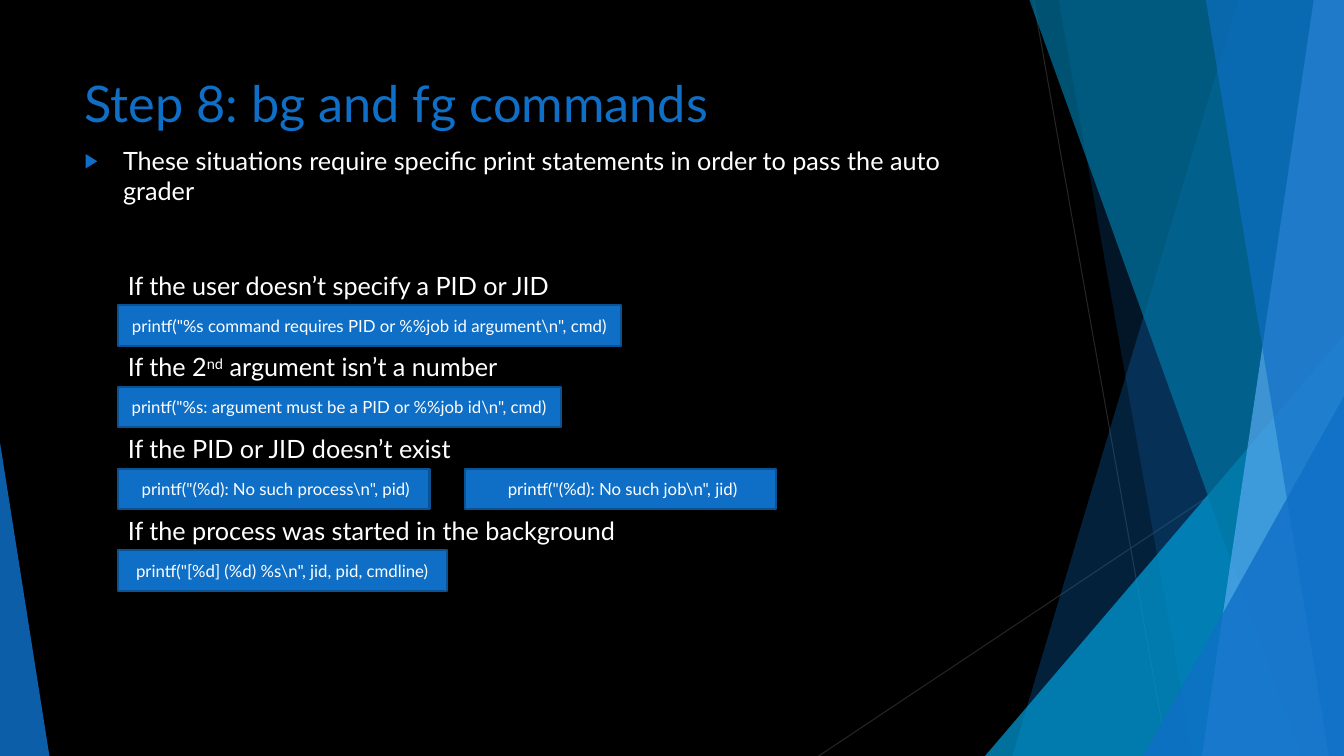
from lxml import etree
from pptx import Presentation
from pptx.dml.color import RGBColor
from pptx.enum.shapes import MSO_CONNECTOR, MSO_SHAPE
from pptx.enum.text import MSO_ANCHOR, MSO_AUTO_SIZE, PP_ALIGN
from pptx.oxml.ns import qn
from pptx.util import Inches, Pt

BLACK = RGBColor(0x00, 0x00, 0x00)
WHITE = RGBColor(0xFF, 0xFF, 0xFF)
GREY = RGBColor(0x26, 0x26, 0x26)
BLUE = RGBColor(0x0F, 0x6F, 0xC6)
DARK_BLUE = RGBColor(0x0B, 0x52, 0x92)
LIGHT_BLUE = RGBColor(0x59, 0xAA, 0xF2)
CYAN = RGBColor(0x00, 0x9D, 0xD9)
TEAL = RGBColor(0x00, 0x76, 0xA3)

# Content
TITLE = "Step 8: bg and fg commands"
INTRO = "These situations require specific print statements in order to pass the auto grader"
# Each case: label runs (text, superscript), label width, [(code, box width)]
CASES = [
    ([("If the user doesn’t specify a PID or JID", False)], 4.99,
     [(r'printf("%s command requires PID or %%job id argument\n", cmd)', 4.99)]),
    ([("If the 2", False), ("nd", True), (" argument isn’t a number", False)], 4.2,
     [(r'printf("%s: argument must be a PID or %%job id\n", cmd)', 4.39)]),
    ([("If the PID or JID doesn’t exist", False)], 4.2,
     [(r' printf("(%d): No such process\n", pid)', 3.09),
      (r' printf("(%d): No such job\n", jid)', 3.09)]),
    ([("If the process was started in the background", False)], 5.3,
     [(r'printf("[%d] (%d) %s\n", jid, pid, cmdline)', 3.26)]),
]

# Layout
W, H = 13.33, 7.5
LEFT, TEXT_W = 0.74, 9.4
CASE_X, CASE_Y = 1.17, 2.63
CASE_PITCH, BOX_H, BOX_GAP = 0.81, 0.4, 0.35

# Background decoration
HAIRLINES = [(10.25, 0, 11.58, H), (W, 4.03, 8.12, H)]
# Bands run to the right edge: top x, bottom x
# Triangles stand on the bottom edge: left, top, width, apex position
FACETS = [
    ("band", (12.28, 10.04), BLUE, 30),
    ("band", (10.5, 11.83), BLUE, 20),
    ("triangle", (9.77, 3.33, 3.56, 1), CYAN, 72),
    ("band", (10.21, 12.91), TEAL, 70),
    ("band", (13.03, 11.92), LIGHT_BLUE, 70),
    ("band", (11.96, 13.18), BLUE, 65),
    ("triangle", (11.34, 3.93, 1.99, 1), BLUE, 80),
    ("triangle", (0, 4.39, 0.49, 0), BLUE, 85),
]


def add_text(p, text, size=18, color=WHITE, superscript=False):
    r = p.add_run()
    r.text = text
    r.font.size = Pt(size)
    r.font.name = "Lato"
    r.font.color.rgb = color
    if superscript:
        r.font._element.set("baseline", "30000")


def add_hairline(s, x1, y1, x2, y2):
    line = s.shapes.add_connector(MSO_CONNECTOR.STRAIGHT, Inches(x1), Inches(y1),
                                  Inches(x2), Inches(y2))
    line.line.color.rgb = GREY
    line.line.width = Pt(0.75)
    etree.SubElement(line.element.spPr, qn("a:effectLst"))


def add_facet(s, kind, dims, color, opacity):
    if kind == "band":
        top, bottom = dims
        points = [(Inches(x), Inches(y)) for x, y in
                  [(top, 0), (W, 0), (W, H), (bottom, H)]]
        builder = s.shapes.build_freeform(*points[0])
        builder.add_line_segments(points[1:], close=True)
        sp = builder.convert_to_shape()
    else:
        x, y, w, apex = dims
        sp = s.shapes.add_shape(MSO_SHAPE.ISOSCELES_TRIANGLE, Inches(x), Inches(y),
                                Inches(w), Inches(H - y))
        sp.adjustments[0] = apex
    sp.shadow.inherit = False
    sp.fill.solid()
    sp.fill.fore_color.rgb = color
    sp.line.fill.background()
    clr = sp.element.spPr.find(qn("a:solidFill"))[0]
    etree.SubElement(clr, qn("a:alpha"), val=str(opacity * 1000))


def place(ph, y, h):
    ph.left, ph.top, ph.width, ph.height = (Inches(v) for v in (LEFT, y, TEXT_W, h))
    tf = ph.text_frame
    tf.word_wrap = True
    tf.auto_size = MSO_AUTO_SIZE.NONE
    tf.vertical_anchor = MSO_ANCHOR.TOP
    p = tf.paragraphs[0]
    p.alignment = PP_ALIGN.LEFT
    ph.element.getparent().append(ph.element)  # in front of the decoration
    return p


def add_bullet(p):
    pPr = p._p.get_or_add_pPr()
    pPr.set("marL", str(Inches(0.38)))
    pPr.set("indent", str(-Inches(0.38)))
    clr = etree.SubElement(pPr, qn("a:buClr"))
    etree.SubElement(clr, qn("a:srgbClr"), val=str(BLUE))
    etree.SubElement(pPr, qn("a:buSzPct"), val="80000")
    etree.SubElement(pPr, qn("a:buChar"), char="▶")


def add_label(s, runs, y, w):
    tb = s.shapes.add_textbox(Inches(CASE_X), Inches(y), Inches(w), Inches(BOX_H))
    tf = tb.text_frame
    tf.word_wrap = True
    tf.auto_size = MSO_AUTO_SIZE.SHAPE_TO_FIT_TEXT
    for text, superscript in runs:
        add_text(tf.paragraphs[0], text, superscript=superscript)


def add_code(s, code, x, y, w):
    sp = s.shapes.add_shape(MSO_SHAPE.RECTANGLE, Inches(x), Inches(y),
                            Inches(w), Inches(BOX_H))
    sp.shadow.inherit = False
    sp.fill.solid()
    sp.fill.fore_color.rgb = BLUE
    sp.line.color.rgb = DARK_BLUE
    sp.line.width = Pt(1.5)
    tf = sp.text_frame
    tf.word_wrap = True
    tf.vertical_anchor = MSO_ANCHOR.MIDDLE
    p = tf.paragraphs[0]
    p.alignment = PP_ALIGN.CENTER
    add_text(p, code, size=12)


def main():
    prs = Presentation()
    prs.slide_width, prs.slide_height = Inches(W), Inches(H)
    s = prs.slides.add_slide(prs.slide_layouts[1])
    s.background.fill.solid()
    s.background.fill.fore_color.rgb = BLACK

    # Decoration
    for ends in HAIRLINES:
        add_hairline(s, *ends)
    for facet in FACETS:
        add_facet(s, *facet)

    # Title and intro
    add_text(place(s.shapes.title, 0.67, 1.44), TITLE, size=36, color=BLUE)
    p = place(s.placeholders[1], 1.39, 0.92)
    p.space_before = Pt(10)
    add_bullet(p)
    add_text(p, INTRO)

    # Cases: a label with its print statements below
    for i, (runs, label_w, codes) in enumerate(CASES):
        y = CASE_Y + i * CASE_PITCH
        add_label(s, runs, y, label_w)
        x = CASE_X
        for code, w in codes:
            add_code(s, code, x, y + BOX_H, w)
            x += w + BOX_GAP

    prs.save("out.pptx")


if __name__ == "__main__":
    main()
